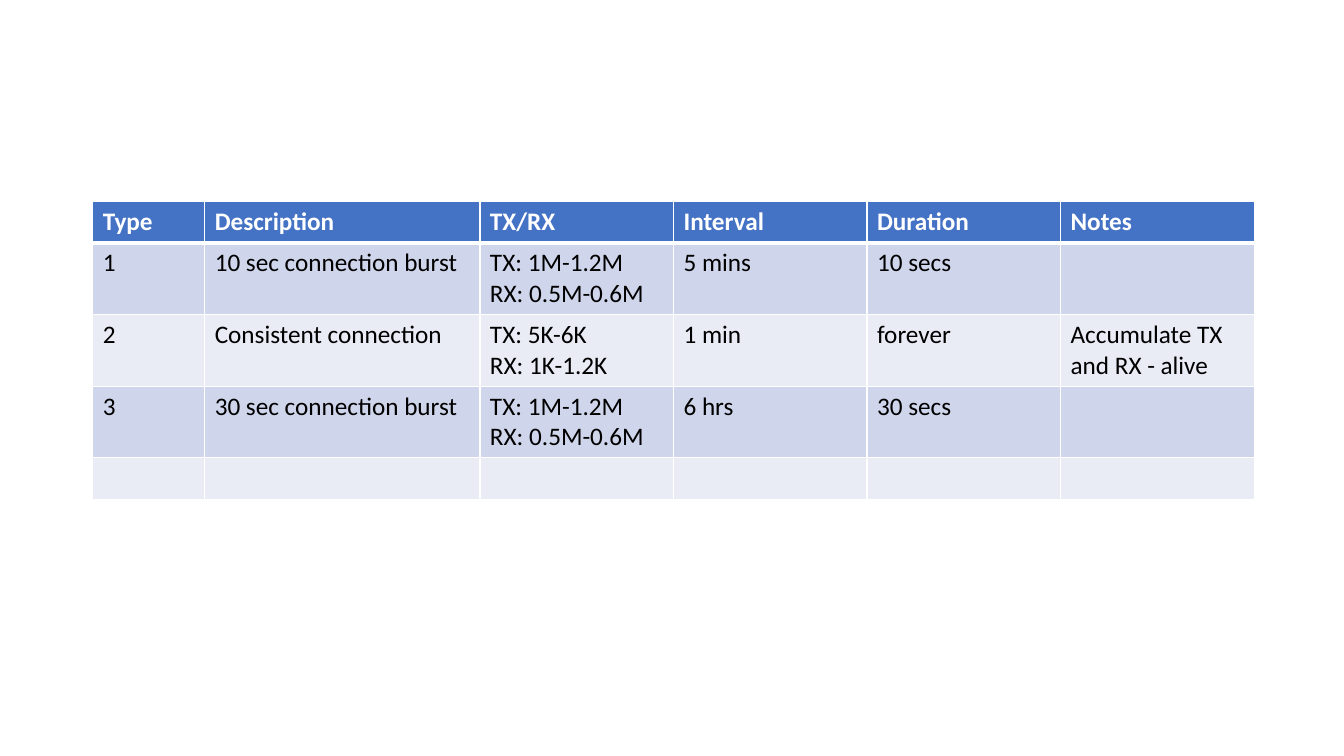
from dataclasses import dataclass

from lxml import etree
from pptx import Presentation
from pptx.dml.color import RGBColor
from pptx.oxml.ns import qn
from pptx.util import Inches, Pt

HEADER = ["Type", "Description", "TX/RX", "Interval", "Duration", "Notes"]
CONNECTIONS = [
    ["1", "10 sec connection burst", "TX: 1M-1.2M\nRX: 0.5M-0.6M", "5 mins", "10 secs", ""],
    ["2", "Consistent connection", "TX: 5K-6K\nRX: 1K-1.2K", "1 min", "forever",
     "Accumulate TX and RX - alive"],
    ["3", "30 sec connection burst", "TX: 1M-1.2M\nRX: 0.5M-0.6M", "6 hrs", "30 secs", ""],
    [""] * len(HEADER),
]
ROWS = [HEADER] + CONNECTIONS

SLIDE_W, SLIDE_H = 13.33, 7.5
TABLE_LEFT, TABLE_TOP = 0.92, 2
COL_WIDTHS = [1.11, 2.73] + [1.92] * 4
ROW_HEIGHT = 0.41


@dataclass(frozen=True)
class Theme:
    font: str = "Calibri"
    size: int = 18
    header_fill: str = "4472C4"
    header_text: str = "FFFFFF"
    body_text: str = "000000"
    bands: tuple = ("CFD5EA", "E9EBF5")
    grid: str = "FFFFFF"
    grid_pt: int = 1
    header_rule_pt: int = 3


THEME = Theme()


def write(tf, text, color, bold=False):
    for i, line in enumerate(text.split("\n")):
        p = tf.paragraphs[0] if i == 0 else tf.add_paragraph()
        if line:
            r = p.add_run()
            r.text = line
            r.font.name, r.font.size, r.font.bold = THEME.font, Pt(THEME.size), bold
            r.font.color.rgb = RGBColor.from_string(color)


def set_borders(cell, top, bottom):
    """Draw the cell's four edges; call before filling, as the XML order requires."""
    tc_pr = cell._tc.get_or_add_tcPr()
    edges = {"L": THEME.grid_pt, "R": THEME.grid_pt, "T": top, "B": bottom}
    for side, width in edges.items():
        ln = etree.SubElement(tc_pr, qn(f"a:ln{side}"), w=str(Pt(width)))
        fill = etree.SubElement(ln, qn("a:solidFill"))
        etree.SubElement(fill, qn("a:srgbClr"), val=THEME.grid)


def add_connection_table(slide):
    table = slide.shapes.add_table(
        len(ROWS), len(HEADER), Inches(TABLE_LEFT), Inches(TABLE_TOP),
        Inches(sum(COL_WIDTHS)), Inches(ROW_HEIGHT * len(ROWS))).table
    for column, width in zip(table.columns, COL_WIDTHS):
        column.width = Inches(width)
    for i, values in enumerate(ROWS):
        table.rows[i].height = Inches(ROW_HEIGHT)
        is_header = i == 0
        fill = THEME.header_fill if is_header else THEME.bands[(i - 1) % 2]
        color = THEME.header_text if is_header else THEME.body_text
        top = THEME.header_rule_pt if i == 1 else THEME.grid_pt
        bottom = THEME.header_rule_pt if is_header else THEME.grid_pt
        for j, text in enumerate(values):
            cell = table.cell(i, j)
            set_borders(cell, top, bottom)
            cell.fill.solid()
            cell.fill.fore_color.rgb = RGBColor.from_string(fill)
            write(cell.text_frame, text, color, bold=is_header)


def main():
    prs = Presentation()
    prs.slide_width, prs.slide_height = Inches(SLIDE_W), Inches(SLIDE_H)
    add_connection_table(prs.slides.add_slide(prs.slide_layouts[6]))
    prs.save("out.pptx")


if __name__ == "__main__":
    main()
